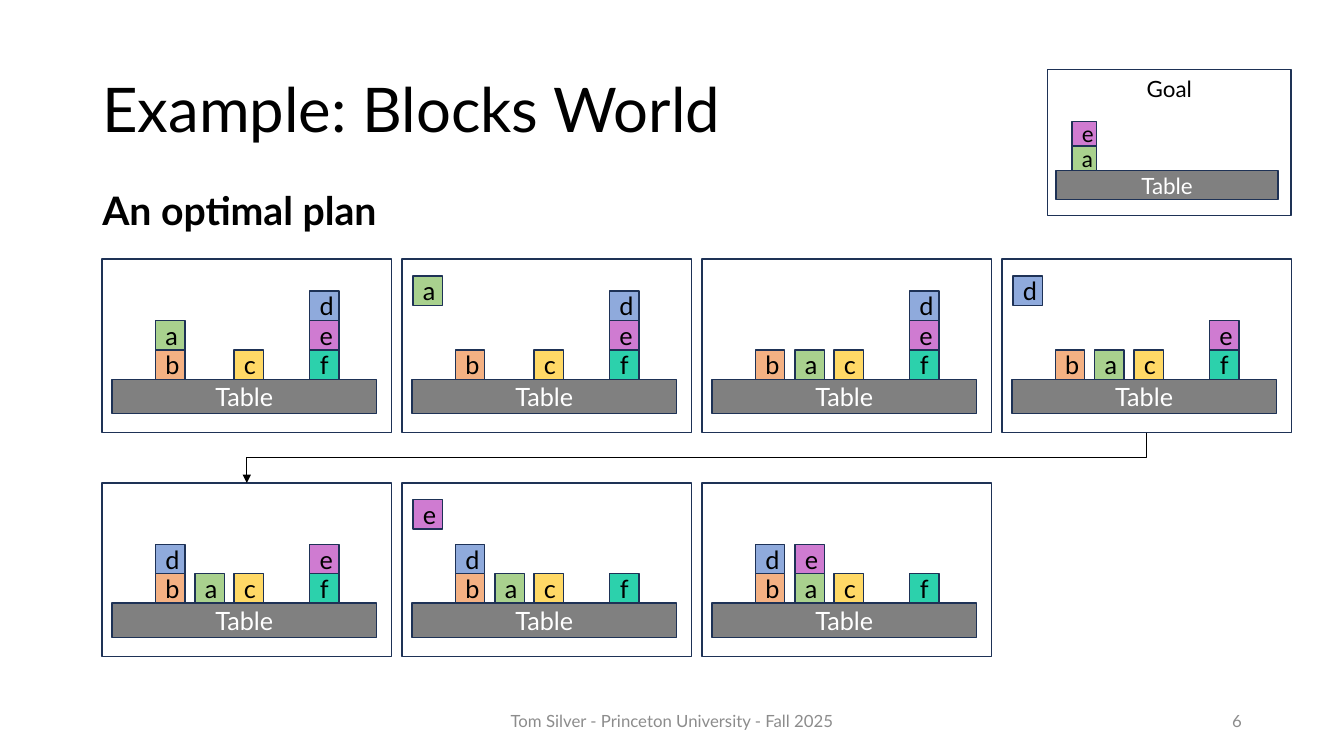
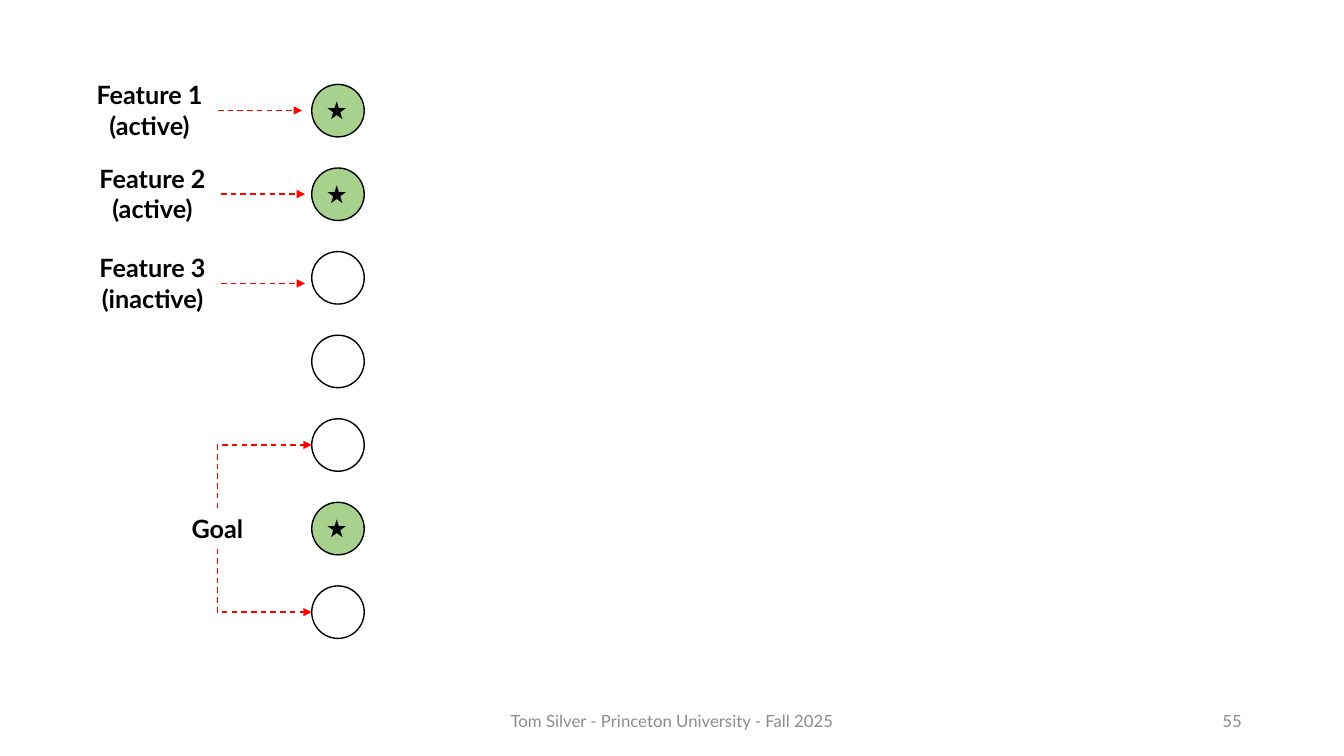
from dataclasses import dataclass

from lxml.etree import SubElement as Sub
from pptx import Presentation
from pptx.dml.color import RGBColor
from pptx.enum.dml import MSO_LINE
from pptx.enum.shapes import MSO_CONNECTOR as Link, MSO_SHAPE as Kind
from pptx.enum.text import MSO_ANCHOR as Anchor, MSO_AUTO_SIZE as Fit, PP_ALIGN as Align
from pptx.oxml.ns import qn
from pptx.shapes.autoshape import Shape
from pptx.shapes.shapetree import GroupShapes, SlideShapes
from pptx.slide import Slide
from pptx.util import Emu, Inches, Pt

# The slide is a grid of 32 columns by 18 rows of square cells.
WIDE, HIGH = Inches(13.33), Inches(7.5)
CELL = HIGH / 18

BLACK, WHITE, RED, GREEN = "000000", "FFFFFF", "FF0000", "A9D18E"
NAVY, GREY, MUTED = "1E3256", "808080", "8C8C8C"
FONT = "Lato"
FOOTER = "Tom Silver - Princeton University - Fall 2025"

Tree = SlideShapes | GroupShapes
Point = tuple[float, float]


@dataclass(frozen=True)
class Box:
    left: float
    top: float
    width: float
    height: float

    def emu(self) -> tuple[Emu, ...]:
        return tuple(map(cells, (self.left, self.top, self.width, self.height)))


@dataclass(frozen=True)
class Style:
    size: float = 18
    color: str = BLACK
    bold: bool = False
    align: Align = Align.LEFT
    font: str = FONT
    space: float = 1
    before: float = 0


TITLE = Style(44, space=0.9)
LEAD = Style(28, bold=True, space=0.9, before=10)
LABEL = Style(bold=True, align=Align.CENTER)


@dataclass(frozen=True)
class Scene:
    """Stacks are read from the table upwards, one for each spot."""
    left: float
    top: float
    stacks: tuple[str, ...]
    held: str = ""
    label: str = ""
    scale: float = 1
    size: float = 18
    spots: tuple[float, ...] = (1.27, 2.21, 3.14, 4.94)


@dataclass(frozen=True)
class Feature:
    text: str
    left: float
    top: float


# Blocks world
PANEL_W, PANEL_H = 6.89, 4.13
PANEL_X, PANEL_Y = 2.43, 6.17
STEP_X, STEP_Y = 7.14, 5.33
TABLE = Box(0.24, 2.86, 6.29, 0.82)
BLOCK = 0.7
HELD = (0.26, 0.4)
HUES = {"a": GREEN, "b": "F4B183", "c": "FFD966",
        "d": "8FAADC", "e": "CF7BD1", "f": "2CD1AC"}
PLAN = [
    [(("ba", "", "c", "fed"), ""), (("b", "", "c", "fed"), "a"),
     (("b", "a", "c", "fed"), ""), (("b", "a", "c", "fe"), "d")],
    [(("bd", "a", "c", "fe"), ""), (("bd", "a", "c", "f"), "e"),
     (("bd", "ae", "c", "f"), "")],
]
GOAL = Scene(24.94, 1.66, ("ae",), label="Goal", scale=0.84, size=16, spots=(0.69,))

# Features
DOT_X, DOT_Y, DOT, PITCH = 7.42, 2.01, 1.25, 1.99
ACTIVE = (True, True, False, False, False, True, False)
FEATURES = (
    Feature("Feature 1\n(active)", 2.02, 1.78),
    Feature("Feature 2\n(active)", 2.09, 3.77),
    Feature("Feature 3\n(inactive)", 2.09, 5.9),
)
NOTE_W, NOTE_H = 3.08, 1.7
AIM = Box(4.3, 12.1, 1.75, 0.96)


def cells(count: float) -> Emu:
    return Emu(round(count * CELL))


def rgb(code: str) -> RGBColor:
    return RGBColor.from_string(code)


def write(shape: Shape, text: str, style: Style) -> None:
    frame = shape.text_frame
    frame.text = text
    for para in frame.paragraphs:
        para.alignment = style.align
        para.line_spacing = style.space
        para.space_before = Pt(style.before)
        for run in para.runs:
            run.font.name, run.font.size = style.font, Pt(style.size)
            run.font.bold = style.bold
            run.font.color.rgb = rgb(style.color)


def note(slide: Slide, box: Box, text: str, style: Style,
         anchor: Anchor = Anchor.TOP, wrap: bool = True) -> None:
    shape = slide.shapes.add_textbox(*box.emu())
    frame = shape.text_frame
    frame.word_wrap = wrap
    frame.auto_size = Fit.NONE if wrap else Fit.SHAPE_TO_FIT_TEXT
    frame.vertical_anchor = anchor
    write(shape, text, style)


def draw(tree: Tree, kind: Kind, box: Box, fill: str = "", line: str = NAVY) -> Shape:
    shape = tree.add_shape(kind, *box.emu())
    shape.shadow.inherit = False
    if fill:
        shape.fill.solid()
        shape.fill.fore_color.rgb = rgb(fill)
    else:
        shape.fill.background()
    shape.line.color.rgb = rgb(line)
    shape.line.width = Pt(1)
    return shape


def arrow(slide: Slide, start: Point, end: Point, color: str, preset: str = "line",
          turn: int = 0, flip: bool = False, dash: bool = False) -> None:
    """Turn is 0, 90 or 270 degrees; a turned arrow swaps its width and height."""
    (x0, y0), (x1, y1) = start, end
    if turn:
        mid_x, mid_y = (x0 + x1) / 2, (y0 + y1) / 2
        half_w, half_h = abs(y1 - y0) / 2, abs(x1 - x0) / 2
        side = -1 if flip or turn == 270 else 1
        rise = -1 if flip else 1
        x0, x1 = mid_x - side * half_w, mid_x + side * half_w
        y0, y1 = mid_y - rise * half_h, mid_y + rise * half_h
    kind = Link.ELBOW if turn else Link.STRAIGHT
    link = slide.shapes.add_connector(kind, *map(cells, (x0, y0, x1, y1)))
    link.line.color.rgb = rgb(color)
    link.line.width = Pt(1)
    if dash:
        link.line.dash_style = MSO_LINE.DASH
    props = link.element.spPr
    if turn:
        props.find(qn("a:xfrm")).set("rot", str(turn * 60000))
        props.find(qn("a:prstGeom")).set("prst", preset)
    Sub(props.find(qn("a:ln")), qn("a:tailEnd"), type="triangle")
    Sub(props, qn("a:effectLst"))


def stage(slide: Slide, scene: Scene) -> None:
    tree = slide.shapes.add_group_shape().shapes
    scale = scene.scale

    def place(x: float, y: float, w: float, h: float) -> Box:
        return Box(scene.left + x * scale, scene.top + y * scale, w * scale, h * scale)

    def label(shape: Shape, text: str, color: str = BLACK) -> None:
        write(shape, text, Style(scene.size, color, align=Align.CENTER))

    def block(name: str, x: float, y: float) -> None:
        label(draw(tree, Kind.RECTANGLE, place(x, y, BLOCK, BLOCK), HUES[name]), name)

    frame = draw(tree, Kind.RECTANGLE, place(0, 0, PANEL_W, PANEL_H))
    if scene.label:
        frame.text_frame.vertical_anchor = Anchor.TOP
        label(frame, scene.label)
    table = place(TABLE.left, TABLE.top, TABLE.width, TABLE.height)
    label(draw(tree, Kind.RECTANGLE, table, GREY), "Table", WHITE)
    for x, stack in zip(scene.spots, scene.stacks):
        for level, name in enumerate(stack, 1):
            block(name, x, TABLE.top - level * BLOCK)
    if scene.held:
        block(scene.held, *HELD)


def start(deck: Presentation, number: int) -> Slide:
    """Add a blank slide with the shared footer."""
    slide = deck.slides.add_slide(deck.slide_layouts[6])
    for box, text, align in (
        (Box(10.6, 16.68, 10.8, 0.96), FOOTER, Align.CENTER),
        (Box(22.6, 16.68, 7.2, 0.96), str(number), Align.RIGHT),
    ):
        note(slide, box, text, Style(12, MUTED, align=align), Anchor.MIDDLE)
    return slide


def blocks(deck: Presentation) -> None:
    slide = start(deck, 6)
    note(slide, Box(2.2, 0.95, 27.6, 3.48), "Example: Blocks World", TITLE, Anchor.MIDDLE)
    note(slide, Box(2.2, 4.44, 7.92, 1.27), "An optimal plan", LEAD)
    for row, line in enumerate(PLAN):
        for col, (stacks, held) in enumerate(line):
            stage(slide, Scene(PANEL_X + col * STEP_X, PANEL_Y + row * STEP_Y, stacks, held))
    stage(slide, GOAL)
    mid = PANEL_X + PANEL_W / 2
    arrow(slide, (mid + 3 * STEP_X, PANEL_Y + PANEL_H), (mid, PANEL_Y + STEP_Y),
          BLACK, "bentConnector3", 90)


def features(deck: Presentation) -> None:
    slide = start(deck, 55)
    for row, active in enumerate(ACTIVE):
        top = DOT_Y + row * PITCH
        draw(slide.shapes, Kind.OVAL, Box(DOT_X, top, DOT, DOT),
             GREEN if active else WHITE, BLACK)
        if active:
            note(slide, Box(DOT_X + 0.12, top + 0.12, 0.98, 0.96), "★",
                 Style(font="Cambria"), wrap=False)
    for item in FEATURES:
        note(slide, Box(item.left, item.top, NOTE_W, NOTE_H), item.text, LABEL, wrap=False)
        x, y = item.left + NOTE_W + 0.09, item.top + NOTE_H / 2
        arrow(slide, (x, y), (x + 2, y), RED, dash=True)
    note(slide, AIM, "Goal", LABEL, wrap=False)
    mid = AIM.left + AIM.width / 2
    for row, y, turn in ((4, AIM.top, 90), (6, AIM.top + AIM.height, 270)):
        arrow(slide, (mid, y), (DOT_X, DOT_Y + row * PITCH + DOT / 2), RED,
              "bentConnector2", turn, flip=turn == 90, dash=True)


def main() -> None:
    deck = Presentation()
    deck.slide_width, deck.slide_height = WIDE, HIGH
    blocks(deck)
    features(deck)
    deck.save("out.pptx")


if __name__ == "__main__":
    main()
